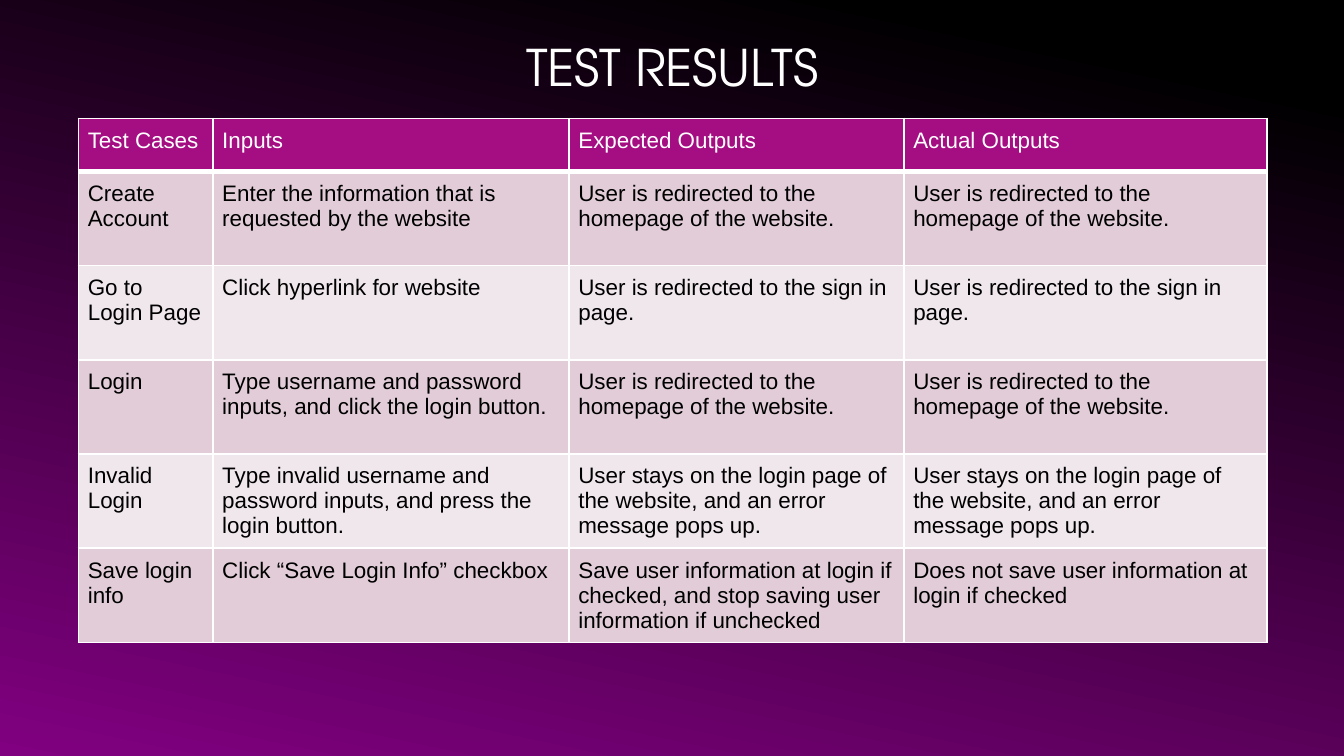
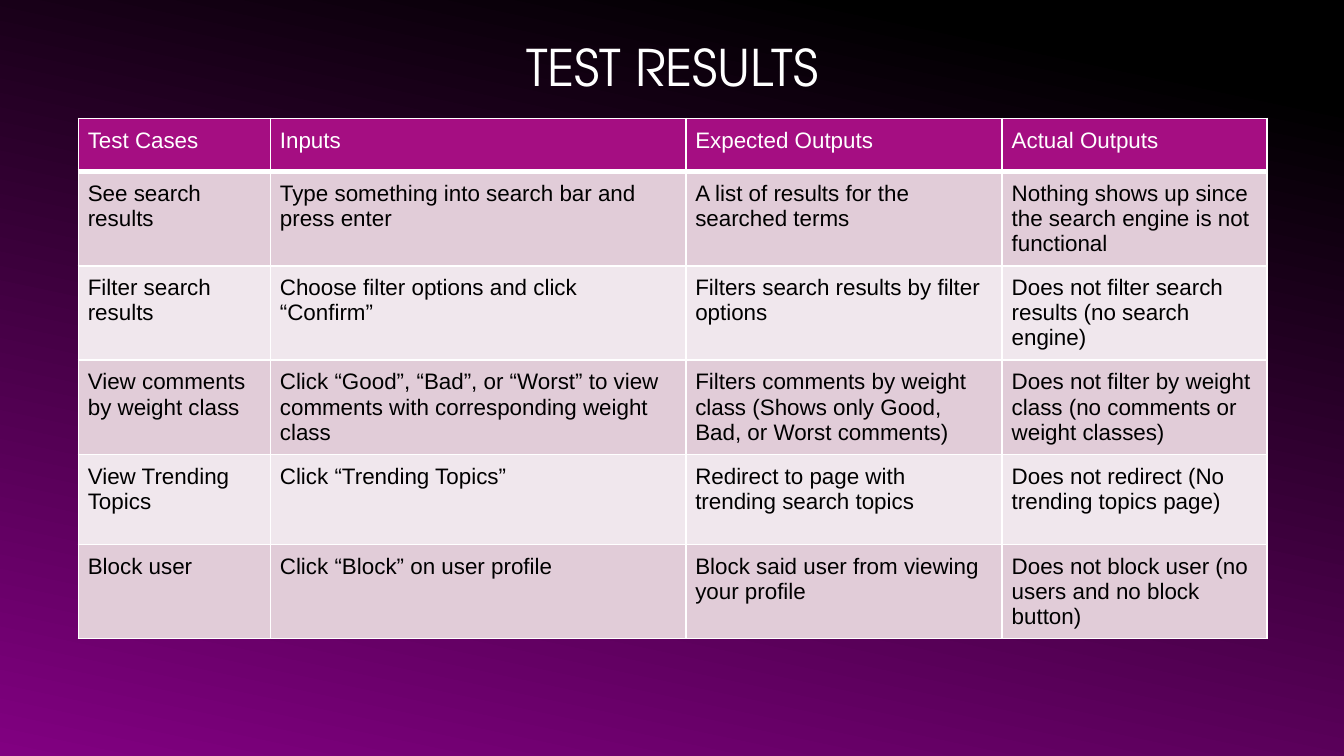
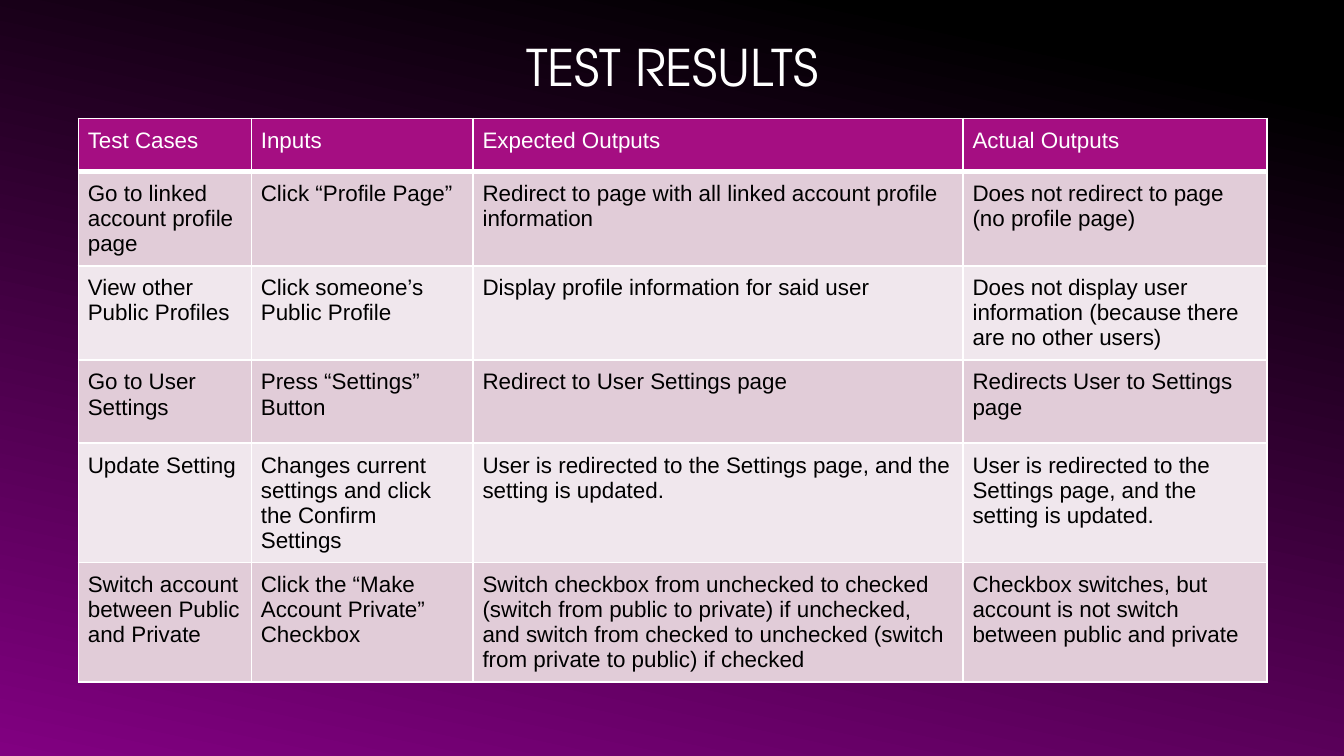
from lxml.etree import SubElement
from pptx import Presentation
from pptx.dml.color import RGBColor
from pptx.enum.text import MSO_ANCHOR, PP_ALIGN
from pptx.oxml.ns import qn
from pptx.util import Cm, Pt

TITLE = "TEST RESULTS"
HEADERS = ("Test Cases", "Inputs", "Expected Outputs", "Actual Outputs")
HOMEPAGE = "User is redirected to the homepage of the website. "
SIGN_IN = "User is redirected to the sign in page."
LOGIN_ERROR = "User stays on the login page of the website, and an error message pops up."
UPDATED = "User is redirected to the Settings page, and the setting is updated."

SLIDES = [
    {
        "widths": (2.54, 6.73, 6.33, 6.86),
        "heights": (1, 1.78, 1.78, 1.78, 1.78, 1.78),
        "cases": [
            ("Create Account", "Enter the information that is requested by the website",
             HOMEPAGE, HOMEPAGE),
            ("Go to Login Page", "Click hyperlink for website", SIGN_IN, SIGN_IN),
            ("Login", "Type username and password inputs, and click the login button.",
             HOMEPAGE, HOMEPAGE),
            ("Invalid Login",
             "Type invalid username and password inputs, and press the login button.",
             LOGIN_ERROR, LOGIN_ERROR),
            ("Save login info", "Click “Save Login Info” checkbox",
             "Save user information at login if checked, and stop saving user information if unchecked",
             "Does not save user information at login if checked"),
        ],
    },
    {
        "widths": (3.63, 7.85, 5.98, 5),
        "heights": (1, 1.37, 1.37, 1.7, 1.7, 1.7),
        "cases": [
            ("See search results", "Type something into search bar and press enter",
             "A list of results for the searched terms",
             "Nothing shows up since the search engine is not functional"),
            ("Filter search results", "Choose filter options and click “Confirm”",
             "Filters search results by filter options",
             "Does not filter search results (no search engine)"),
            ("View comments by weight class",
             "Click “Good”, “Bad”, or “Worst” to view comments with corresponding weight class",
             "Filters comments by weight class (Shows only Good, Bad, or Worst comments)",
             "Does not filter by weight class (no comments or weight classes)"),
            ("View Trending Topics", "Click “Trending Topics”",
             "Redirect to page with trending search topics",
             "Does not redirect (No trending topics page)"),
            ("Block user", "Click “Block” on user profile",
             "Block said user from viewing your profile",
             "Does not block user (no users and no block button)"),
        ],
    },
    {
        "widths": (3.27, 4.19, 9.26, 5.74),
        "heights": (1, 1.57, 1.57, 1.57, 1.57, 1.93),
        "cases": [
            ("Go to linked account profile page", "Click “Profile Page”",
             "Redirect to page with all linked account profile information",
             "Does not redirect to page (no profile page)"),
            ("View other Public Profiles", "Click someone’s Public Profile",
             "Display profile information for said user",
             "Does not display user information (because there are no other users)"),
            ("Go to User Settings", "Press “Settings” Button",
             "Redirect to User Settings page", "Redirects User to Settings page"),
            ("Update Setting", "Changes current settings and click the Confirm Settings ",
             UPDATED, UPDATED),
            ("Switch account between Public and Private",
             "Click the “Make Account Private” Checkbox",
             "Switch checkbox from unchecked to checked (switch from public to private) if unchecked, "
             "and switch from checked to unchecked (switch from private to public) if checked",
             "Checkbox switches, but account is not switch between public and private"),
        ],
    },
]

WHITE, BLACK, PURPLE = "FFFFFF", "000000", "810081"
HEADER_FILL, BANDS = "A50E82", ("E1CCD8", "F0E7ED")
TITLE_BOX = {"left": Cm(1.07), "top": Cm(0.1), "width": Cm(23.27), "height": Cm(2.29)}
TITLE_FONT = {"name": "TeX Gyre Adventor", "size": Pt(27), "bold": False}
CELL_FONT = {"name": "Arial", "size": Pt(12), "bold": False}
CELL_MARGINS = {f"margin_{side}": Cm(0.18) for side in ("left", "top", "right", "bottom")}
TABLE_LEFT, TABLE_TOP = 1.48, 2.24


def rgb(value):
    return RGBColor.from_string(value)


def apply(target, values):
    for name, value in values.items():
        setattr(target, name, value)


def set_font(p, values, color):
    apply(p.font, values)
    p.font.color.rgb = rgb(color)


def set_background(prs):
    fill = prs.slide_master.background.fill
    fill.gradient()
    fill.gradient_angle = 360 - 102
    for stop, (position, color) in zip(fill.gradient_stops, ((0.1, BLACK), (1, PURPLE))):
        stop.position = position
        stop.color.rgb = rgb(color)


def add_borders(cell, row):
    tcPr = cell._tc.get_or_add_tcPr()
    widths = {"L": 1, "R": 1, "T": 3 if row == 1 else 1, "B": 3 if row == 0 else 1}
    for side, width in widths.items():
        ln = SubElement(tcPr, qn(f"a:ln{side}"), w=str(Pt(width)))
        SubElement(SubElement(ln, qn("a:solidFill")), qn("a:srgbClr"), val=WHITE)


def add_title(s):
    title = s.shapes.title
    apply(title, TITLE_BOX)
    tf = title.text_frame
    tf.text = TITLE
    tf.vertical_anchor = MSO_ANCHOR.MIDDLE
    p = tf.paragraphs[0]
    p.alignment = PP_ALIGN.CENTER
    set_font(p, TITLE_FONT, WHITE)


def add_results(s, widths, heights, cases):
    rows = [HEADERS, *cases]
    table = s.shapes.add_table(len(rows), len(HEADERS), Cm(TABLE_LEFT), Cm(TABLE_TOP),
                               Cm(sum(widths)), Cm(sum(heights))).table
    for column, width in zip(table.columns, widths):
        column.width = Cm(width)
    for i, (texts, height) in enumerate(zip(rows, heights)):
        table.rows[i].height = Cm(height)
        for j, text in enumerate(texts):
            cell = table.cell(i, j)
            apply(cell, CELL_MARGINS)
            add_borders(cell, i)
            cell.fill.solid()
            cell.fill.fore_color.rgb = rgb(BANDS[(i - 1) % 2] if i else HEADER_FILL)
            cell.text = text
            set_font(cell.text_frame.paragraphs[0], CELL_FONT, BLACK if i else WHITE)


def main():
    prs = Presentation()
    prs.slide_width, prs.slide_height = Cm(25.4), Cm(14.29)
    set_background(prs)
    for content in SLIDES:
        s = prs.slides.add_slide(prs.slide_layouts[5])
        add_title(s)
        add_results(s, **content)
    prs.save("out.pptx")


if __name__ == "__main__":
    main()
